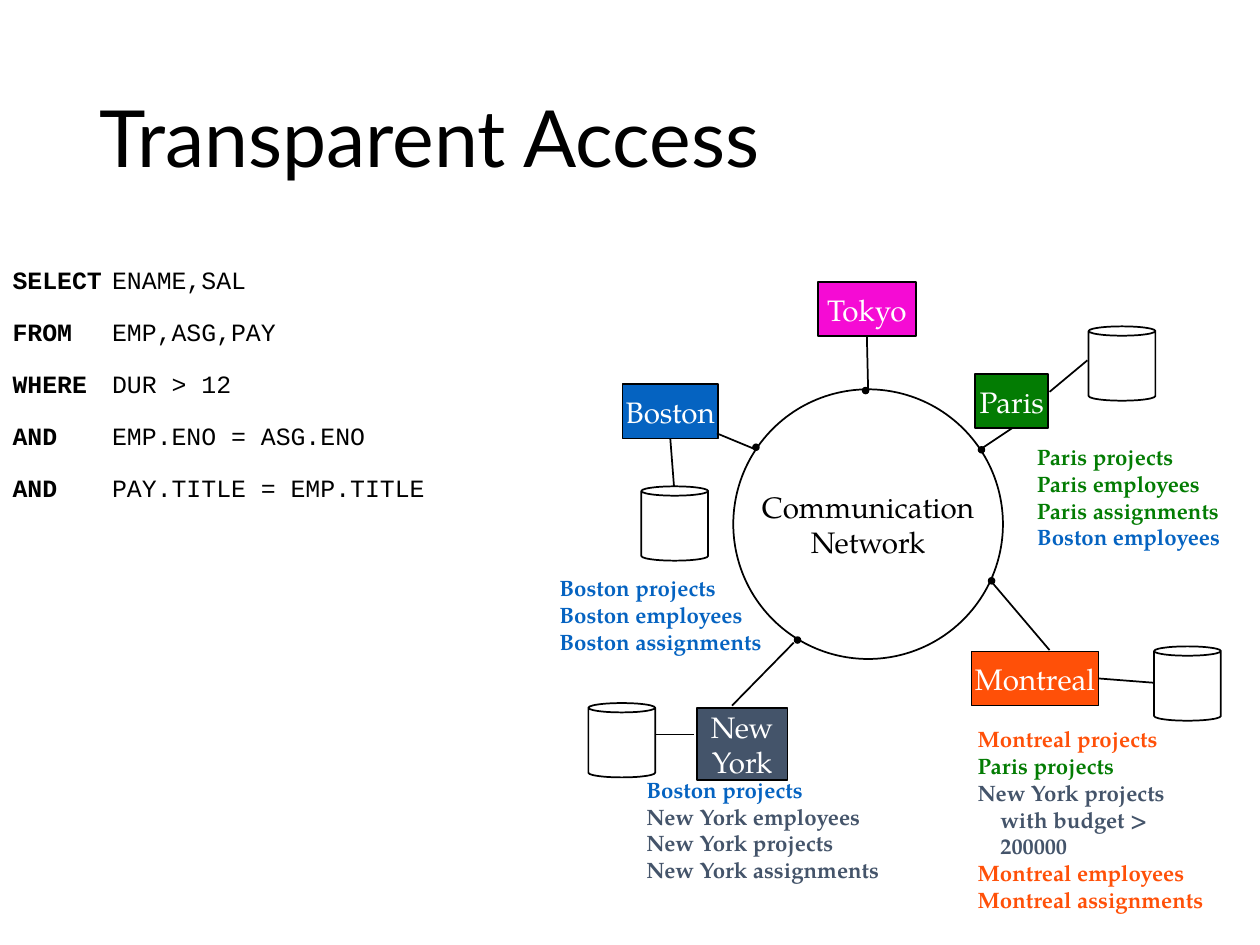
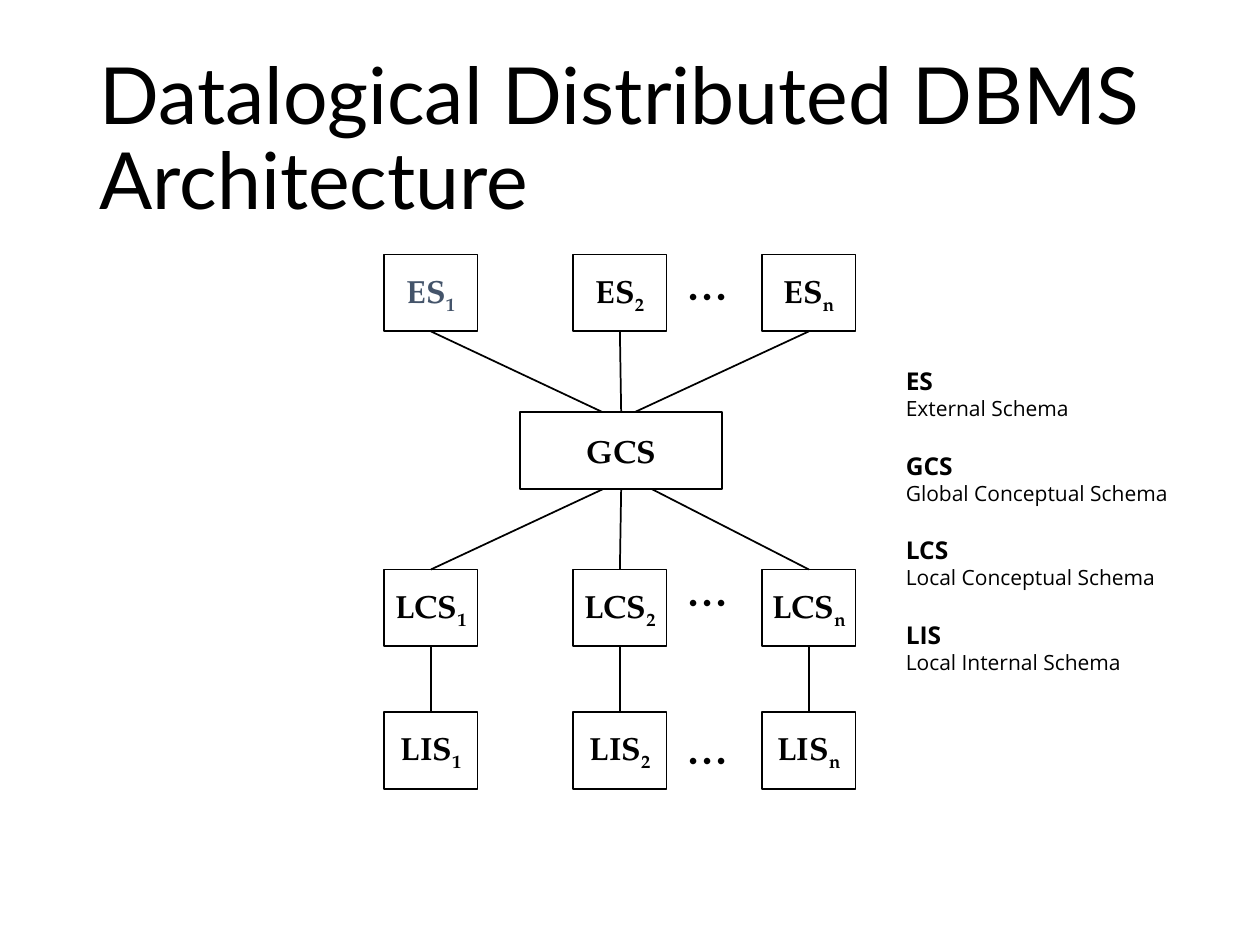
from dataclasses import dataclass

from lxml.etree import SubElement
from pptx import Presentation
from pptx.dml.color import RGBColor
from pptx.enum.shapes import MSO_CONNECTOR as Connector, MSO_SHAPE as Shape
from pptx.enum.text import MSO_ANCHOR as Anchor, MSO_AUTO_SIZE as AutoSize, PP_ALIGN as Align
from pptx.oxml.ns import qn
from pptx.util import Inches, Pt


@dataclass(frozen=True)
class Theme:
    black: str = "000000"
    white: str = "FFFFFF"
    blue: str = "0563C1"
    green: str = "037C03"
    orange: str = "FF5008"
    slate: str = "44546A"
    pink: str = "F50BD4"
    title_font: str = "Lato"
    code_font: str = "Courier New"
    legend_font: str = "Open Sans"
    diagram_font: str = "TeX Gyre Pagella"
    title_size: float = 45
    code_size: float = 14.2
    site_size: float = 16.9
    data_size: float = 12.7
    schema_size: float = 18.3
    dots_size: float = 32.3
    term_size: float = 14
    meaning_size: float = 12


THEME = Theme()
TOP, LEFT, BOTTOM, RIGHT = range(4)

TITLES = ["Transparent Access", "Datalogical Distributed DBMS Architecture"]
TITLE_AREA = (0.69, 0.4, 8.62, 1.45)

QUERY = [
    ("SELECT", "ENAME,SAL"),
    ("FROM", "EMP,ASG,PAY"),
    ("WHERE", "DUR > 12"),
    ("AND", "EMP.ENO = ASG.ENO"),
    ("AND", "PAY.TITLE = EMP.TITLE"),
]
QUERY_AREA = (0, 2.1, 4.52, 2.04)

NETWORK = ("Communication\nNetwork", (5.82, 3.09, 2.14, 2.14))
SITES = {
    "Tokyo": ((6.49, 2.24, 0.78, 0.43), THEME.pink),
    "Boston": ((4.94, 3.05, 0.76, 0.43), THEME.blue),
    "Paris": ((7.74, 2.97, 0.58, 0.43), THEME.green),
    "Montreal": ((7.71, 5.17, 1.01, 0.43), THEME.orange),
    "New\nYork": ((5.53, 5.62, 0.72, 0.57), THEME.slate),
}
SITE_LINKS = [
    ("Boston", BOTTOM, (5.35, 3.87)),
    ("Paris", BOTTOM, (7.79, 3.56)),
    ("Montreal", RIGHT, (9.17, 5.42)),
]
FREE_LINKS = [
    ((5.98, 3.56), (5.69, 3.44)),
    ((6.3, 5.1), (5.81, 5.6)),
    ((7.88, 4.63), (8.33, 5.16)),
    ((5.21, 5.83), (5.51, 5.83)),
    ((8.33, 3.11), (8.63, 2.86)),
]
NODES = [(6.87, 3.1), (7.79, 3.57), (6.0, 3.55), (7.87, 4.61), (6.33, 5.08)]
NODE_SIZE = 0.06
DATABASES = [(8.64, 2.59), (5.09, 3.86), (9.16, 5.13), (4.67, 5.58)]
DATABASE_SIZE = (0.53, 0.59)

SITE_DATA = [
    ((8.16, 3.49, 1.62, 0.92), [
        ("Paris projects", THEME.green),
        ("Paris employees", THEME.green),
        ("Paris assignments", THEME.green),
        ("Boston employees", THEME.blue),
    ]),
    ((7.69, 5.73, 2.04, 1.35), [
        ("Montreal projects", THEME.orange),
        ("Paris projects", THEME.green),
        ("New York projects", THEME.slate),
        ("with budget > 200000", THEME.slate),
        ("Montreal employees", THEME.orange),
        ("Montreal assignments", THEME.orange),
    ]),
    ((4.37, 4.53, 1.76, 0.71), [
        ("Boston projects", THEME.blue),
        ("Boston employees", THEME.blue),
        ("Boston assignments", THEME.blue),
    ]),
    ((5.06, 6.13, 2.01, 0.92), [
        ("Boston projects", THEME.blue),
        ("New York employees", THEME.slate),
        ("New York projects", THEME.slate),
        ("New York assignments", THEME.slate),
    ]),
]
CONTINUATION = "with budget"

SCHEMA_ROWS = {"ES": 2.02, "LCS": 4.52, "LIS": 5.65}
SUFFIXES = ["1", "2", "n"]
COLUMN_LEFT, COLUMN_STEP = 3.05, 1.5
SCHEMA_SIZE = (0.74, 0.61)
GLOBAL_AREA = (4.13, 3.27, 1.6, 0.61)
GLOBAL_TOP_ENDS = [4.78, None, 5.04]
GLOBAL_BOTTOM_ENDS = [4.79, None, 5.17]
DOTS_TOPS = [1.89, 4.32, 5.57]

LEGEND = [
    ("ES", "External Schema"),
    ("GCS", "Global Conceptual Schema"),
    ("LCS", "Local Conceptual Schema"),
    ("LIS", "Local Internal Schema"),
]
LEGEND_AREA = (7.09, 2.86, 2.78, 2.56)


def inches(values):
    return [Inches(value) for value in values]


def style(item, font, size, color=THEME.black, bold=False):
    item.font.name = font
    item.font.size = Pt(size)
    item.font.bold = bold
    item.font.color.rgb = RGBColor.from_string(color)


def set_margins(frame, across, down):
    frame.margin_left = frame.margin_right = Inches(across)
    frame.margin_top = frame.margin_bottom = Inches(down)


def next_paragraph(frame, index):
    return frame.add_paragraph() if index else frame.paragraphs[0]


def add_page(deck, layout, title):
    page = deck.slides.add_slide(deck.slide_layouts[layout])
    box = page.shapes.title
    box.left, box.top, box.width, box.height = inches(TITLE_AREA)
    frame = box.text_frame
    frame.text = title
    frame.auto_size = AutoSize.NONE
    frame.vertical_anchor = Anchor.MIDDLE
    para = frame.paragraphs[0]
    para.alignment = Align.LEFT
    para.line_spacing = 0.9
    style(para.runs[0], THEME.title_font, THEME.title_size)
    return page


def add_box(page, kind, area, fill=THEME.white):
    box = page.shapes.add_shape(kind, *inches(area))
    box.shadow.inherit = False
    box.fill.solid()
    box.fill.fore_color.rgb = RGBColor.from_string(fill)
    box.line.color.rgb = RGBColor.from_string(THEME.black)
    box.line.width = Pt(1)
    return box


def label(box, text, size, color=THEME.black, bold=False):
    frame = box.text_frame
    frame.text = text
    frame.word_wrap = False
    frame.vertical_anchor = Anchor.MIDDLE
    set_margins(frame, 0, 0)
    for para in frame.paragraphs:
        para.alignment = Align.CENTER
        style(para.runs[0], THEME.diagram_font, size, color, bold)


def add_text(page, area, wrap=False):
    frame = page.shapes.add_textbox(*inches(area)).text_frame
    frame.word_wrap = wrap
    frame.auto_size = AutoSize.SHAPE_TO_FIT_TEXT
    return frame


def add_line(page, start=(0, 0), end=(0, 0), begin_at=None, end_at=None):
    line = page.shapes.add_connector(Connector.STRAIGHT, *inches((*start, *end)))
    if begin_at:
        line.begin_connect(*begin_at)
    if end_at:
        line.end_connect(*end_at)
    line.line.color.rgb = RGBColor.from_string(THEME.black)
    line.line.width = Pt(1)
    SubElement(line._element.spPr, qn("a:effectLst"))


def fill_query(body):
    body.left, body.top, body.width, body.height = inches(QUERY_AREA)
    frame = body.text_frame
    frame.auto_size = AutoSize.NONE
    for index, (keyword, clause) in enumerate(QUERY):
        para = next_paragraph(frame, index)
        para.text = keyword
        para.add_run().text = "\t" + clause
        para.line_spacing = 0.8
        para.space_before = Pt(10 if index else 0)
        para.space_after = Pt(6)
        properties = para._p.get_or_add_pPr()
        properties.set("marL", str(Inches(0.29)))
        properties.set("indent", str(-Inches(0.29)))
        SubElement(properties, qn("a:buNone"))
        tabs = SubElement(properties, qn("a:tabLst"))
        SubElement(tabs, qn("a:tab"), pos=str(Inches(1.01)), algn="l")
        for span, bold in zip(para.runs, (True, False)):
            style(span, THEME.code_font, THEME.code_size, bold=bold)


def add_site_data(page, area, rows):
    frame = add_text(page, area)
    set_margins(frame, 0.07, 0.03)
    for index, (text, color) in enumerate(rows):
        para = next_paragraph(frame, index)
        para.text = text
        if text.startswith(CONTINUATION):
            para._p.get_or_add_pPr().set("marL", str(Inches(0.18)))
        style(para.runs[0], THEME.diagram_font, THEME.data_size, color, True)


def build_access(deck):
    page = add_page(deck, 1, TITLES[0])
    fill_query(page.placeholders[1])

    text, area = NETWORK
    network = add_box(page, Shape.OVAL, area)
    label(network, text, THEME.site_size)
    sites = {}
    for name, (area, color) in SITES.items():
        sites[name] = add_box(page, Shape.RECTANGLE, area, color)
        label(sites[name], name, THEME.site_size, THEME.white)

    add_line(page, begin_at=(sites["Tokyo"], BOTTOM), end_at=(network, TOP))
    for name, side, end in SITE_LINKS:
        add_line(page, end=end, begin_at=(sites[name], side))
    for start, end in FREE_LINKS:
        add_line(page, start, end)
    for x, y in NODES:
        area = (x - NODE_SIZE / 2, y - NODE_SIZE / 2, NODE_SIZE, NODE_SIZE)
        add_box(page, Shape.OVAL, area, THEME.black).line.fill.background()
    for corner in DATABASES:
        database = add_box(page, Shape.CAN, (*corner, *DATABASE_SIZE))
        database.adjustments[0] = 0.14
    for area, rows in SITE_DATA:
        add_site_data(page, area, rows)


def add_schema(page, name, suffix, left, top):
    box = add_box(page, Shape.RECTANGLE, (left, top, *SCHEMA_SIZE))
    color = THEME.slate if (name, suffix) == ("ES", "1") else THEME.black
    label(box, name, THEME.schema_size, color, True)
    span = box.text_frame.paragraphs[0].add_run()
    span.text = suffix
    style(span, THEME.diagram_font, THEME.schema_size, color, True)
    span._r.get_or_add_rPr().set("baseline", "-25000")
    return box


def add_legend(page):
    frame = add_text(page, LEGEND_AREA, wrap=True)
    for index, (term, meaning) in enumerate(LEGEND):
        para = next_paragraph(frame, index)
        para.text = term
        para.space_before = Pt(17 if index else 0)
        style(para.runs[0], THEME.legend_font, THEME.term_size, bold=True)
        para = frame.add_paragraph()
        para.text = meaning
        style(para.runs[0], THEME.legend_font, THEME.meaning_size)


def build_architecture(deck):
    page = add_page(deck, 5, TITLES[1])
    hub = add_box(page, Shape.RECTANGLE, GLOBAL_AREA)
    label(hub, "GCS", THEME.schema_size, bold=True)
    hub_top = GLOBAL_AREA[1]
    hub_bottom = hub_top + GLOBAL_AREA[3]

    for column, suffix in enumerate(SUFFIXES):
        left = COLUMN_LEFT + column * COLUMN_STEP
        external, local, internal = [
            add_schema(page, name, suffix, left, top) for name, top in SCHEMA_ROWS.items()
        ]
        for box, side, ends, hub_side, y in (
            (external, BOTTOM, GLOBAL_TOP_ENDS, TOP, hub_top),
            (local, TOP, GLOBAL_BOTTOM_ENDS, BOTTOM, hub_bottom),
        ):
            x = ends[column]
            if x is None:
                add_line(page, begin_at=(box, side), end_at=(hub, hub_side))
            else:
                add_line(page, end=(x, y), begin_at=(box, side))
        add_line(page, begin_at=(local, BOTTOM), end_at=(internal, TOP))

    for top in DOTS_TOPS:
        frame = add_text(page, (5.35, top, 0.54, 0.64))
        frame.text = "..."
        style(frame.paragraphs[0].runs[0], THEME.diagram_font, THEME.dots_size)
    add_legend(page)


def main():
    deck = Presentation()
    deck.slide_width, deck.slide_height = Inches(10), Inches(7.5)
    build_access(deck)
    build_architecture(deck)
    deck.save("out.pptx")


if __name__ == "__main__":
    main()
